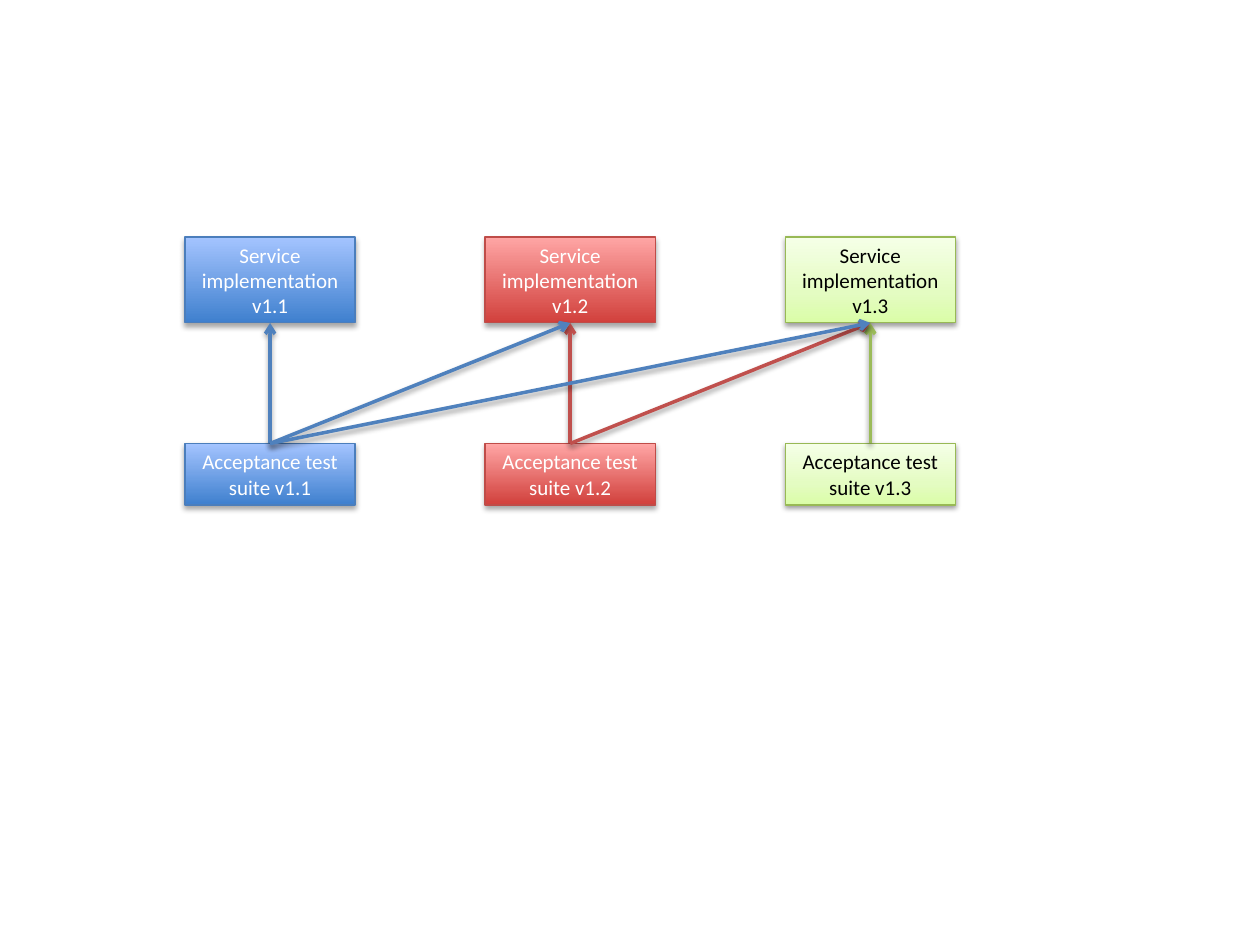
import copy

import lxml.etree
import pptx
import pptx.dml.color
import pptx.enum.shapes
import pptx.enum.text
import pptx.oxml
import pptx.oxml.ns
import pptx.util

Cm = pptx.util.Cm
Pt = pptx.util.Pt
qn = pptx.oxml.ns.qn

COLORS = {
    "blue_edge": "4B7EBC", "blue_arrow": "4F81BD",
    "blue_dark": "3F80CE", "blue_light": "A4C4FF",
    "red_edge": "BF4C48", "red_arrow": "C0504D",
    "red_dark": "D1403C", "red_light": "FFA6A5",
    "green_edge": "98B955", "green_arrow": "9BBB59",
    "green_dark": "DAFDA7", "green_middle": "E4FCC2", "green_light": "F5FFE7",
    "white": "FFFFFF", "black": "000000",
}
VERSIONS = [
    ("v1.1", "blue", "white", (35, 1.8)),
    ("v1.2", "red", "white", (35, 1.8)),
    ("v1.3", "green", "black", (38, 1.6)),
]
ARROW_SHADOW = (38, 1.6)
BOX_WIDTH = 3.43
COLUMN_STEP = 6.05
SERVICE_HEIGHT = 1.73
SUITE_TOP = 4.16
SUITE_HEIGHT = 1.24


def color(name):
    return pptx.dml.color.RGBColor.from_string(COLORS[name])


def add_shadow(shape, opacity, distance):
    properties = shape._element.spPr
    effects = lxml.etree.SubElement(properties, qn("a:effectLst"))
    shadow = lxml.etree.SubElement(
        effects, qn("a:outerShdw"), blurRad=str(Pt(3.1)),
        dist=str(Pt(distance)), dir="5400000", rotWithShape="0")
    shade = lxml.etree.SubElement(shadow, qn("a:srgbClr"), val=COLORS["black"])
    lxml.etree.SubElement(shade, qn("a:alpha"), val=str(opacity * 1000))


def fill_gradient(shape, hue):
    shape.fill.gradient()
    shape.fill.gradient_angle = 90
    dark, light = shape.fill.gradient_stops
    dark.color.rgb, light.color.rgb = color(hue + "_dark"), color(hue + "_light")
    dark.position, light.position = 0, 1
    if hue + "_middle" in COLORS:
        first = shape._element.spPr.find(".//" + qn("a:gs"))
        middle = copy.deepcopy(first)
        middle.set("pos", "35000")
        middle.find(qn("a:srgbClr")).set("val", COLORS[hue + "_middle"])
        first.addnext(middle)


def add_box(page, left, top, height, text, hue, ink, shadow):
    box = page.shapes.add_shape(
        pptx.enum.shapes.MSO_SHAPE.RECTANGLE,
        Cm(left), Cm(top), Cm(BOX_WIDTH), Cm(height))
    fill_gradient(box, hue)
    box.line.color.rgb = color(hue + "_edge")
    box.line.width = Pt(0.75)
    add_shadow(box, *shadow)
    frame = box.text_frame
    frame.word_wrap = True
    frame.vertical_anchor = pptx.enum.text.MSO_ANCHOR.MIDDLE
    para = frame.paragraphs[0]
    para.text = text
    para.alignment = pptx.enum.text.PP_ALIGN.CENTER
    para.font.size = Pt(12)
    para.font.name = "Calibri"
    para.font.color.rgb = color(ink)
    return box


def add_arrow(page, suite, service, hue):
    arrow = page.shapes.add_connector(
        pptx.enum.shapes.MSO_CONNECTOR.STRAIGHT, 0, 0, 0, 0)
    arrow.begin_connect(suite, 0)
    arrow.end_connect(service, 2)
    arrow.line.color.rgb = color(hue + "_arrow")
    arrow.line.width = Pt(2)
    lxml.etree.SubElement(arrow.line._get_or_add_ln(), qn("a:tailEnd"), type="arrow")
    add_shadow(arrow, *ARROW_SHADOW)


def add_compatibility_diagram(page, left, top):
    services, suites = [], []
    for column, (version, hue, ink, shadow) in enumerate(VERSIONS):
        box_left = left + column * COLUMN_STEP
        services.append(add_box(
            page, box_left, top, SERVICE_HEIGHT,
            f"Service implementation {version}", hue, ink, shadow))
        suites.append(add_box(
            page, box_left, top + SUITE_TOP, SUITE_HEIGHT,
            f"Acceptance test suite {version}", hue, ink, shadow))
    for step in range(len(VERSIONS)):
        for suite, service, version in zip(suites, services[step:], VERSIONS):
            add_arrow(page, suite, service, version[1])


deck = pptx.Presentation()
deck.slide_width = Cm(25.4)
deck.slide_height = Cm(19.05)
page = deck.slides.add_slide(deck.slide_layouts[6])
add_compatibility_diagram(page, 3.73, 4.78)
deck.save("out.pptx")
